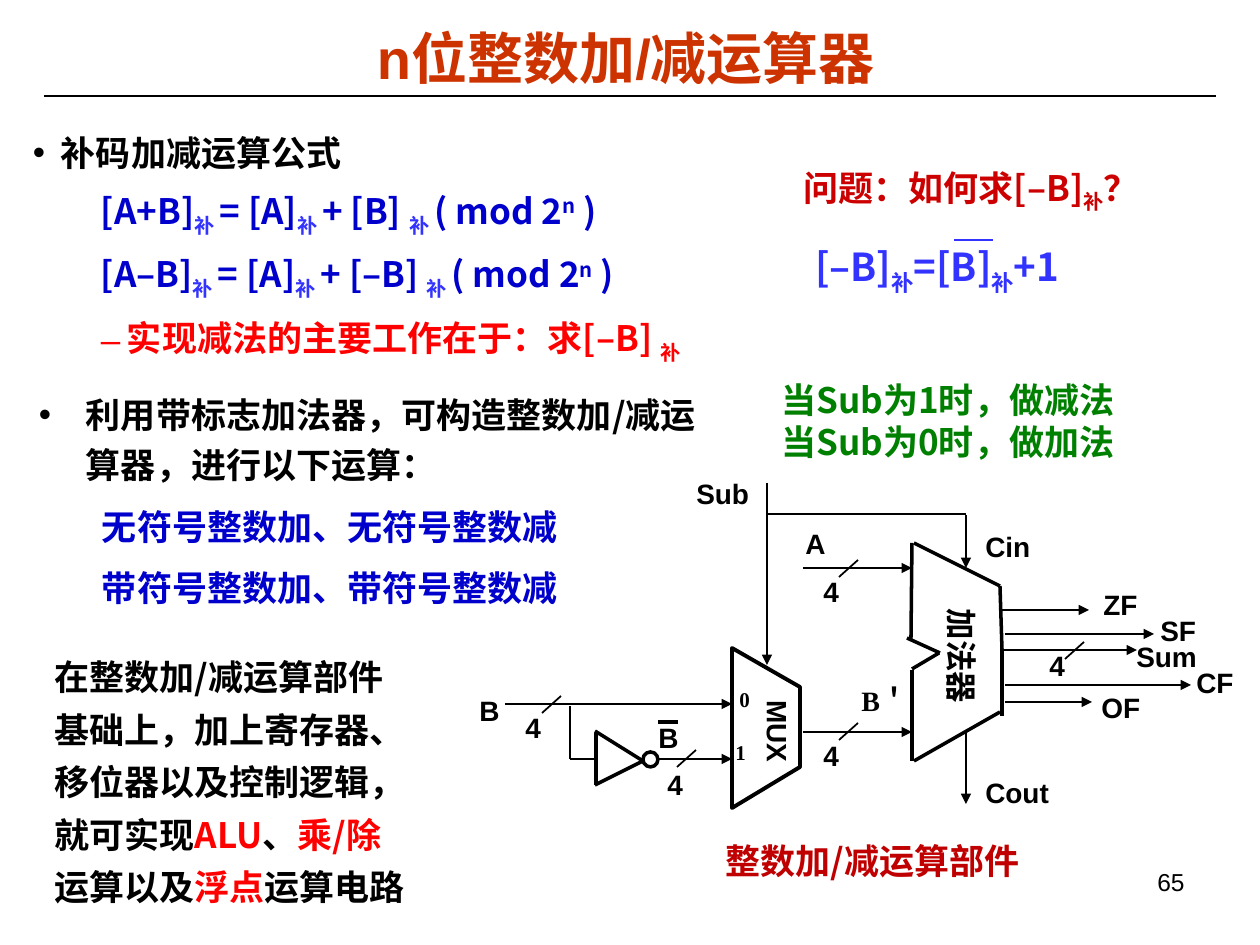
import pptx
import pptx.util
import pptx.dml.color
import pptx.enum.shapes
import pptx.enum.text
import pptx.oxml.ns
import lxml.etree

SCALE = 914400 / 126
SANS, CJK, SERIF = "Arial", "Noto Sans CJK SC", "Times New Roman"
BLACK, BLUE, VIOLET, RED = "000000", "0000CC", "3333FF", "FF0000"
ALIGN = pptx.enum.text.PP_ALIGN
ANCHOR = pptx.enum.text.MSO_ANCHOR
AUTO_SIZE = pptx.enum.text.MSO_AUTO_SIZE


def px(length):
    return pptx.util.Emu(round(length * SCALE))


def rgb(color):
    return pptx.dml.color.RGBColor.from_string(color)


def add_xml(parent, tag, **attributes):
    return lxml.etree.SubElement(parent, pptx.oxml.ns.qn(tag), attributes)


def place(shape, box):
    shape.left, shape.top, shape.width, shape.height = map(px, box)


def write_runs(paragraph, runs, size, font=CJK, bold=True):
    for text, color, *baseline in runs:
        run = paragraph.add_run()
        run.text = text
        run.font.size = pptx.util.Pt(size)
        run.font.bold = bold
        run.font.name = font
        run.font.color.rgb = rgb(color)
        properties = run._r.get_or_add_rPr()
        add_xml(properties, "a:ea", typeface=CJK)
        if baseline:
            properties.set("baseline", str(baseline[0] * 1000))


def add_text(slide, box, lines, size=20, font=CJK, wrap=True, bold=True,
             spacing=None, align=None, rotation=0):
    textbox = slide.shapes.add_textbox(*map(px, box))
    textbox.rotation = rotation
    frame = textbox.text_frame
    frame.word_wrap = wrap
    frame.auto_size = AUTO_SIZE.NONE if wrap else AUTO_SIZE.SHAPE_TO_FIT_TEXT
    for number, runs in enumerate(lines):
        paragraph = frame.add_paragraph() if number else frame.paragraphs[0]
        paragraph.alignment = align
        if spacing:
            paragraph.line_spacing = spacing
        write_runs(paragraph, runs, size, font, bold)


def add_label(slide, text, box, size=16, font=SANS, **options):
    add_text(slide, box, [[(text, BLACK)]], size, font, **options)


def fill_list(body, box, items, insets, spacing, before):
    place(body, box)
    frame = body.text_frame
    frame.auto_size = AUTO_SIZE.NONE
    frame.vertical_anchor = ANCHOR.TOP
    frame.margin_left = frame.margin_right = px(insets[0])
    frame.margin_top = frame.margin_bottom = px(insets[1])
    for number, (level, margin, indent, bullet, runs) in enumerate(items):
        paragraph = frame.add_paragraph() if number else frame.paragraphs[0]
        paragraph.level = level
        properties = paragraph._p.get_or_add_pPr()
        properties.set("marL", str(px(margin)))
        properties.set("indent", str(px(indent)))
        if bullet:
            color = add_xml(properties, "a:buClr")
            add_xml(color, "a:srgbClr", val=runs[0][1])
            add_xml(properties, "a:buChar", char=bullet)
        else:
            add_xml(properties, "a:buNone")
        paragraph.line_spacing = spacing
        paragraph.space_before = pptx.util.Pt(before if number else 0)
        write_runs(paragraph, runs, 20)


def add_line(slide, ends, weight=1, color=BLACK, arrow=False):
    line = slide.shapes.add_connector(
        pptx.enum.shapes.MSO_CONNECTOR.STRAIGHT, *map(px, ends))
    line.line.width = pptx.util.Pt(weight)
    line.line.color.rgb = rgb(color)
    if arrow:
        add_xml(line.line._get_or_add_ln(), "a:tailEnd", type="triangle")
    add_xml(line._element.spPr, "a:effectLst")


def outline(shape, weight):
    shape.shadow.inherit = False
    shape.fill.background()
    shape.line.color.rgb = rgb(BLACK)
    shape.line.width = pptx.util.Pt(weight)


def formula(left, second):
    return [(left, BLUE), ("补 ", VIOLET, -25), ("= [A]", BLUE),
            ("补 ", VIOLET, -25), (second, BLUE), ("补 ", VIOLET, -25),
            ("( mod 2", BLUE), ("n", BLUE, 30), (" )", BLUE)]


def add_heading(slide):
    title = slide.shapes.title
    place(title, (121, 19, 1010, 76))
    title.text_frame.vertical_anchor = ANCHOR.MIDDLE
    title.text_frame.auto_size = AUTO_SIZE.NONE
    heading = title.text_frame.paragraphs[0]
    heading.alignment = ALIGN.CENTER
    write_runs(heading, [("n位整数加/减运算器", "CC3300")], 32, SANS)
    add_line(slide, (44, 96, 1216, 96), 0.75)


def add_lists(slide):
    fill_list(slide.placeholders[1], (24, 121, 815, 247), [
        (0, 28, -28, "•", [("补码加减运算公式", BLACK)]),
        (1, 94, -26, None, formula("[A+B]", "+ [B] ")),
        (1, 94, -26, None, formula("[A–B]", "+ [–B] ")),
        (1, 94, -26, "–", [("实现减法的主要工作在于：求[–B] ", RED),
                           ("补", RED, -25)]),
    ], (9, 4), 1.15, 5)
    fill_list(slide.placeholders[2], (26, 379, 684, 355), [
        (0, 47, -47, "•", [("利用带标志加法器，可构造整数加/减运算器，进行以下运算：", BLACK)]),
        (1, 102, -39, None, [("无符号整数加、无符号整数减", BLUE)]),
        (1, 102, -39, None, [("带符号整数加、带符号整数减", BLUE)]),
    ], (13, 6), 1.2, 6.2)


def add_remarks(slide):
    question = "CC0000"
    add_text(slide, (791, 160, 396, 60), [
        [("问题：如何求[–B]", question), ("补", question, -25), ("？", question)]])
    add_text(slide, (803, 237, 328, 66), [
        [("[–B]", VIOLET), ("补", VIOLET, -25), ("=[B]", VIOLET),
         ("补", VIOLET, -25), ("+1", VIOLET)]], 22)
    add_line(slide, (954, 240, 993, 240), 1.5, VIOLET)
    add_text(slide, (769, 372, 393, 97), [
        [(f"当Sub为{sub}时，做{operation}法", "008000")]
        for sub, operation in ((1, "减"), (0, "加"))])
    add_text(slide, (42, 639, 386, 328), [
        [("在整数加/减运算部件基础上，加上寄存器、移位器以及控制逻辑，就可实现", BLACK),
         ("ALU", RED), ("、", BLACK), ("乘/除", RED), ("运算以及", BLACK),
         ("浮点", RED), ("运算电路", BLACK)]], spacing=1.25)
    add_text(slide, (713, 833, 329, 97), [[("整数加/减运算部件", "C00000")]])
    add_text(slide, (903, 861, 294, 66), [[("65", BLACK)]], 14, SANS,
             bold=False, align=ALIGN.RIGHT)


def add_wiring(slide):
    signals = [
        (803, 568, 912, 568), (803, 732, 912, 732), (505, 704, 732, 704),
        (659, 759, 732, 759), (767, 483, 767, 665), (966, 515, 966, 568),
        (966, 733, 966, 804), (1002, 610, 1089, 610), (1005, 634, 1154, 634),
        (1003, 650, 1137, 650), (1005, 685, 1191, 685), (1005, 702, 1092, 702)]
    for signal in signals:
        add_line(slide, signal, arrow=True)
    for branch in [(570, 706, 570, 759), (570, 759, 595, 759), (766, 514, 966, 514)]:
        add_line(slide, branch)
    for x, y in [(839, 577), (839, 740), (1065, 659), (542, 713), (677, 767)]:
        add_line(slide, (x, y, x + 19, y - 17))
    adder = [
        (912, 543, 911, 639), (914, 543, 1000, 586), (907, 638, 940, 653),
        (1000, 586, 1002, 649), (912, 761, 912, 670), (914, 761, 1000, 712),
        (912, 669, 939, 653), (1002, 716, 1002, 649)]
    inverter = [(643, 761, 595, 731), (643, 761, 595, 785), (596, 733, 596, 785)]
    for edge in adder + inverter:
        add_line(slide, edge, 2)
    bubble = slide.shapes.add_shape(
        pptx.enum.shapes.MSO_SHAPE.OVAL, *map(px, (643, 752, 15, 15)))
    outline(bubble, 2)
    mux = slide.shapes.build_freeform(732, 808, scale=SCALE)
    mux.add_line_segments([(800, 767), (800, 687), (732, 648)], close=True)
    outline(mux.convert_to_shape(), 2.25)
    add_line(slide, (658, 722, 678, 722), 2.25)


def add_labels(slide):
    names = [
        ("Sub", 684, 470, 78), ("A", 793, 520, 45), ("Cin", 973, 523, 71),
        ("ZF", 1091, 581, 59), ("SF", 1148, 607, 74), ("Sum", 1124, 633, 86),
        ("CF", 1184, 659, 76), ("OF", 1089, 684, 64), ("Cout", 973, 769, 100),
        ("B", 467, 687, 45), ("B", 646, 714, 45), ("4", 811, 568, 40),
        ("4", 811, 732, 40), ("4", 513, 704, 40), ("4", 655, 761, 40)]
    for name, x, y, width in names:
        add_label(slide, name, (x, y, width, 45), wrap=False)
    add_label(slide, "4", (1037, 650, 40, 38), wrap=False, spacing=0.75)
    for choice, x, y in (("0", 727, 680), ("1", 723, 733)):
        add_label(slide, choice, (x, y, 35, 38), 12, SERIF, wrap=False)
    add_label(slide, "B＇", (849, 677, 86, 47), font=SERIF)
    add_label(slide, "加法器", (895, 639, 135, 50), 18, rotation=90)
    add_label(slide, "MUX", (727, 717, 103, 45), rotation=90)


def main():
    presentation = pptx.Presentation()
    presentation.slide_width, presentation.slide_height = px(1260), px(945)
    slide = presentation.slides.add_slide(presentation.slide_layouts[3])
    add_heading(slide)
    add_lists(slide)
    add_remarks(slide)
    add_wiring(slide)
    add_labels(slide)
    presentation.save("out.pptx")


if __name__ == "__main__":
    main()
